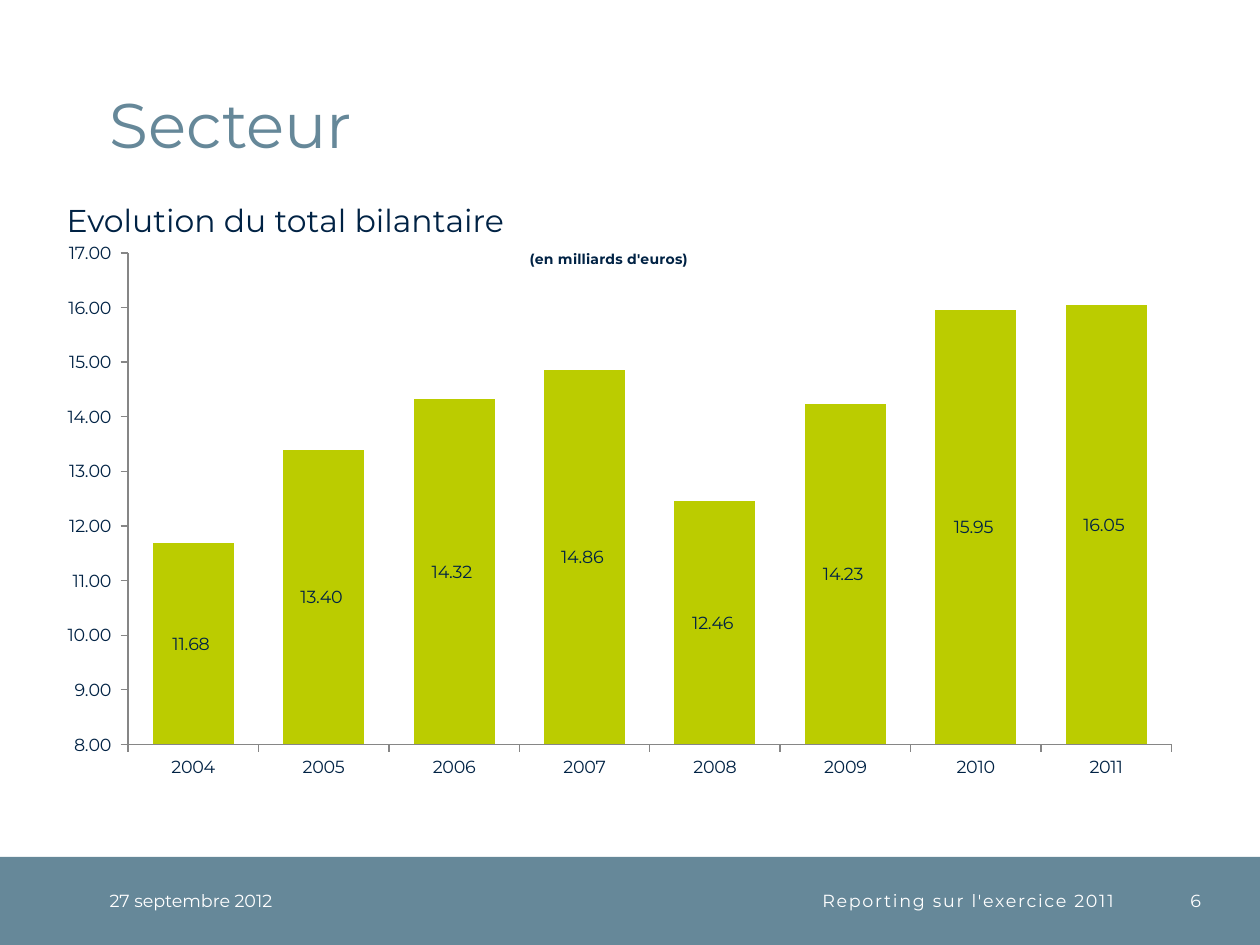
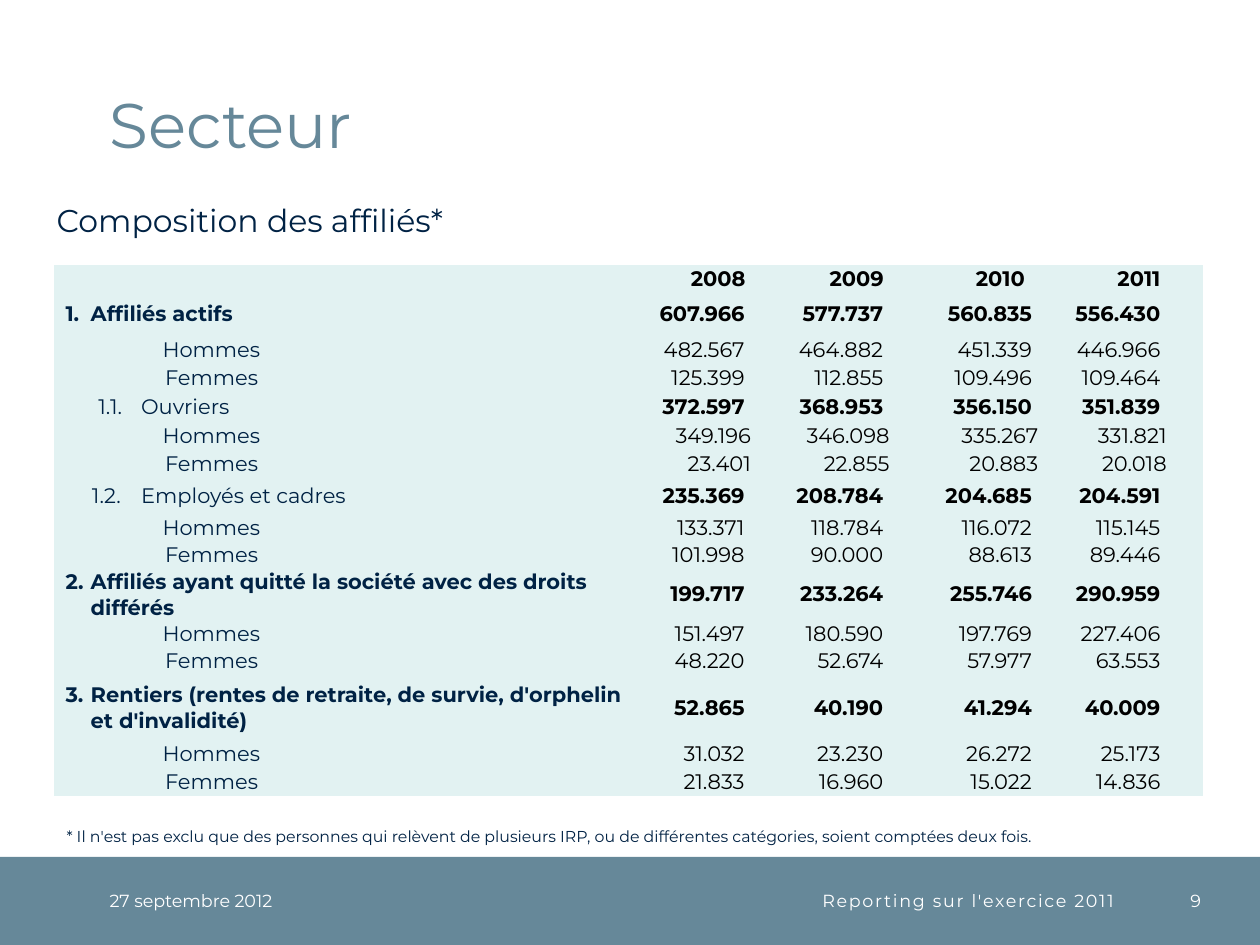
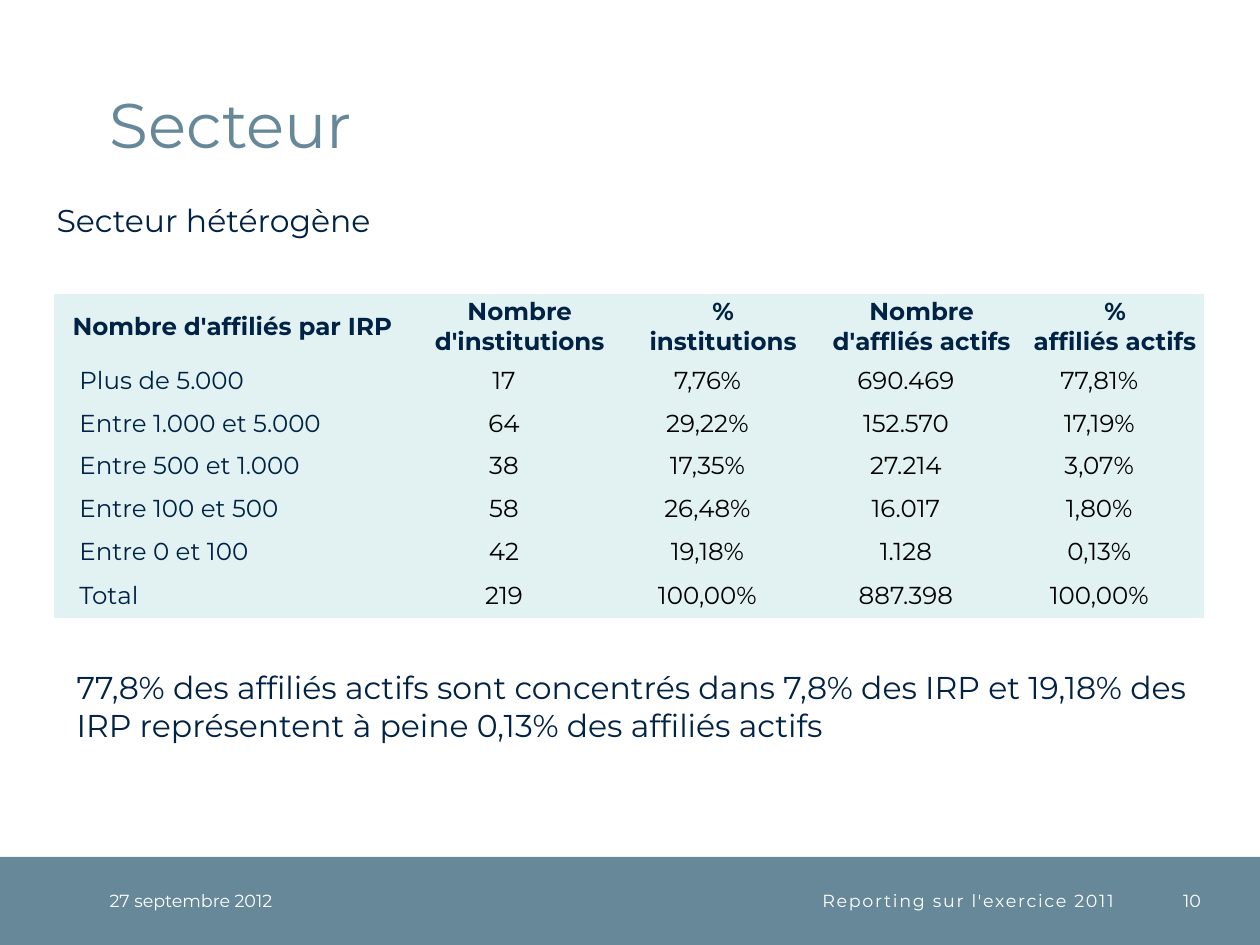
import dataclasses

import lxml.etree
import pptx
import pptx.chart.data
import pptx.dml.color
import pptx.enum.chart
import pptx.enum.shapes
import pptx.enum.text
import pptx.oxml.ns
import pptx.util

Inches = pptx.util.Inches
Pt = pptx.util.Pt
qn = pptx.oxml.ns.qn
ALIGN = pptx.enum.text.PP_ALIGN
ANCHOR = pptx.enum.text.MSO_ANCHOR


@dataclasses.dataclass(frozen=True)
class Theme:
    font: str = "Montserrat"
    slate: str = "668899"
    navy: str = "002244"
    lime: str = "BBCC00"
    mint: str = "E2F2F2"
    axis: str = "868686"
    white: str = "FFFFFF"
    black: str = "000000"
    title: int = 36
    body: int = 18
    table: int = 14
    dense_table: int = 12
    small: int = 10
    note: int = 9
    unit: int = 8
    no_table_style: str = "{2D5ABB26-0587-4C30-8999-92F81FD0307C}"


T = Theme()
NUMBER_FORMAT = "#,##0.00_ ;[Red]\\-#,##0.00\\ "

YEARS = ["2004", "2005", "2006", "2007", "2008", "2009", "2010", "2011"]
BALANCE_TOTALS = [11.68, 13.40, 14.32, 14.86, 12.46, 14.23, 15.95, 16.05]

# Label style: (left margin, first-line indent, bold label, bold figures)
LABEL_STYLES = {
    "group": (0.29, -0.2, True, True),
    "1.1.": (0.69, -0.34, False, True),
    "1.2.": (0.69, -0.39, False, True),
    "Hommes": (0.86, 0, False, False),
    "Femmes": (0.88, 0, False, False),
}

# Each row: height, label, figures for 2008 to 2011
MEMBER_ROWS = [
    (0.35, "1.\tAffiliés actifs", "607.966 577.737 560.835 556.430"),
    (0.22, "Hommes", "482.567 464.882 451.339 446.966"),
    (0.22, "Femmes", "125.399 112.855 109.496 109.464"),
    (0.24, "1.1.\tOuvriers", "372.597 368.953 356.150 351.839"),
    (0.22, "Hommes", "349.196 346.098 335.267 331.821"),
    (0.22, "Femmes", "23.401 22.855 20.883 20.018"),
    (0.29, "1.2.\tEmployés et cadres", "235.369 208.784 204.685 204.591"),
    (0.22, "Hommes", "133.371 118.784 116.072 115.145"),
    (0.22, "Femmes", "101.998 90.000 88.613 89.446"),
    (0.37, "2.\tAffiliés ayant quitté la société avec des droits différés",
     "199.717 233.264 255.746 290.959"),
    (0.22, "Hommes", "151.497 180.590 197.769 227.406"),
    (0.22, "Femmes", "48.220 52.674 57.977 63.553"),
    (0.52, "3.\tRentiers (rentes de retraite, de survie, d'orphelin et d'invalidité)",
     "52.865 40.190 41.294 40.009"),
    (0.22, "Hommes", "31.032 23.230 26.272 25.173"),
    (0.22, "Femmes", "21.833 16.960 15.022 14.836"),
]
INDENTED_FIGURES = (5, 6)  # the two rows under "Ouvriers" sit further right

SIZE_HEADERS = ["Nombre d'affiliés par IRP", "Nombre\nd'institutions", "%\ninstitutions",
                "Nombre d'affliés actifs", "%\naffiliés actifs"]
SIZE_ROWS = [
    ("Plus de 5.000", "17", "7,76%", "690.469", "77,81%"),
    ("Entre 1.000 et 5.000", "64", "29,22%", "152.570", "17,19%"),
    ("Entre 500 et 1.000", "38", "17,35%", "27.214", "3,07%"),
    ("Entre 100 et 500", "58", "26,48%", "16.017", "1,80%"),
    ("Entre 0 et 100", "42", "19,18%", "1.128", "0,13%"),
    ("Total", "219", "100,00%", "887.398", "100,00%"),
]


def rgb(color):
    return pptx.dml.color.RGBColor.from_string(color)


def style_font(font, size, color, bold=False):
    font.name = T.font
    font.size = Pt(size)
    font.bold = bold
    font.color.rgb = rgb(color)


def write(tf, text, size, color, bold=False, align=ALIGN.LEFT):
    tf.text = text
    for p in tf.paragraphs:
        p.alignment = align
        for r in p.runs:
            style_font(r.font, size, color, bold)
        if not p.runs:
            lxml.etree.SubElement(p._p, qn("a:endParaRPr"), sz=str(size * 100))


def add_text(slide, box, text, size, color, align=ALIGN.LEFT, anchor=ANCHOR.TOP, inset=True):
    tf = slide.shapes.add_textbox(*map(Inches, box)).text_frame
    tf.word_wrap = True
    tf.vertical_anchor = anchor
    if not inset:
        tf.margin_left = tf.margin_right = tf.margin_top = tf.margin_bottom = 0
    write(tf, text, size, color, align=align)
    return tf


def add_footer(slide, box, number):
    left, top, width, height = box
    sp = slide.shapes.add_shape(pptx.enum.shapes.MSO_SHAPE.RECTANGLE, *map(Inches, box))
    sp.shadow.inherit = False
    sp.fill.solid()
    sp.fill.fore_color.rgb = rgb(T.slate)
    sp.line.fill.background()

    parts = [
        (0.87, 1.77, "27 septembre 2012", ALIGN.LEFT, 0),
        (2.64, 6.2, "Reporting sur l'exercice 2011", ALIGN.RIGHT, 100),
        (9.04, 0.49, str(number), ALIGN.RIGHT, 0),
    ]
    for offset, part_width, text, align, spacing in parts:
        tf = add_text(slide, (left + offset, top, part_width, height), text,
                      T.small, T.white, align, ANCHOR.MIDDLE, inset=False)
        if spacing:
            tf.paragraphs[0].runs[0]._r.get_or_add_rPr().set("spc", str(spacing))


def add_sector_slide(prs, number, heading, heading_left):
    """Add a slide with its title, heading and footer band."""
    slide = prs.slides.add_slide(prs.slide_layouts[6])
    add_footer(slide, (0, 6.8, 10, 0.7), number)
    tf = add_text(slide, (0.87, 0.2, 8.63, 1.08), "Secteur", T.title, T.slate,
                  anchor=ANCHOR.BOTTOM, inset=False)
    tf.paragraphs[0].line_spacing = Pt(32)
    add_text(slide, (heading_left, 1.55, 4.25, 0.4), heading, T.body, T.navy)
    return slide


def set_layout(parent, index, **values):
    """Give a chart part a fixed place, in fractions of the chart."""
    layout = parent.find(qn("c:layout"))
    if layout is None:
        layout = lxml.etree.Element(qn("c:layout"))
        parent.insert(index, layout)
    manual = lxml.etree.SubElement(layout, qn("c:manualLayout"))
    for tag, value in values.items():
        lxml.etree.SubElement(manual, qn("c:" + tag), val=str(value))


def add_balance_chart(slide, box):
    data = pptx.chart.data.CategoryChartData()
    data.categories = YEARS
    data.add_series("Total bilantaire", BALANCE_TOTALS)
    chart = slide.shapes.add_chart(pptx.enum.chart.XL_CHART_TYPE.COLUMN_STACKED,
                                   *map(Inches, box), data).chart
    chart.has_legend = False
    style_font(chart.font, T.small, T.navy)

    # Title and plot area
    chart.has_title = True
    write(chart.chart_title.text_frame, "(en milliards d'euros)", T.unit, T.navy,
          bold=True, align=ALIGN.CENTER)
    set_layout(chart.chart_title._element, 1, xMode="edge", yMode="edge", x=0.42, y=0.1)
    set_layout(chart._chartSpace.chart.plotArea, 0, layoutTarget="inner", xMode="edge",
               yMode="edge", x=0.073, y=0.112, w=0.907, h=0.813)

    # Axes
    for axis in (chart.category_axis, chart.value_axis):
        axis.has_major_gridlines = False
        axis.major_tick_mark = pptx.enum.chart.XL_TICK_MARK.OUTSIDE
        axis.minor_tick_mark = pptx.enum.chart.XL_TICK_MARK.NONE
        axis.format.line.color.rgb = rgb(T.axis)
        axis.format.line.width = Pt(0.75)
    value_axis = chart.value_axis
    value_axis.minimum_scale, value_axis.maximum_scale = 8, 17
    value_axis.major_unit = 1
    value_axis.tick_labels.number_format = NUMBER_FORMAT
    value_axis.tick_labels.number_format_is_linked = False

    # Columns and their labels
    plot = chart.plots[0]
    plot.gap_width, plot.overlap = 61, 100
    plot.vary_by_categories = False
    fill = plot.series[0].format.fill
    fill.solid()
    fill.fore_color.rgb = rgb(T.lime)
    plot.has_data_labels = True
    labels = plot.data_labels
    labels.show_value = True
    labels.number_format = NUMBER_FORMAT
    labels.number_format_is_linked = False
    labels.position = pptx.enum.chart.XL_LABEL_POSITION.CENTER
    style_font(labels.font, T.small, T.navy)


def add_plain_table(slide, left, top, col_widths, row_heights):
    """Add a table whose cells share one fill and have no borders."""
    frame = slide.shapes.add_table(len(row_heights), len(col_widths), Inches(left), Inches(top),
                                   Inches(sum(col_widths)), Inches(sum(row_heights)))
    table = frame.table
    table.first_row = table.horz_banding = False
    table._tbl.tblPr.find(qn("a:tableStyleId")).text = T.no_table_style
    for column, width in zip(table.columns, col_widths):
        column.width = Inches(width)
    for row, height in zip(table.rows, row_heights):
        row.height = Inches(height)
    for cell in table.iter_cells():
        cell.fill.solid()
        cell.fill.fore_color.rgb = rgb(T.mint)
        cell.vertical_anchor = ANCHOR.MIDDLE
        cell.margin_left = cell.margin_right = cell.margin_top = cell.margin_bottom = 0
    return table


def indent(cell, margin, first_line=0):
    pPr = cell.text_frame.paragraphs[0]._p.get_or_add_pPr()
    pPr.set("marL", str(Inches(margin)))
    pPr.set("indent", str(Inches(first_line)))


def add_member_table(slide, left, top):
    heights = [0.22] + [row[0] for row in MEMBER_ROWS]
    table = add_plain_table(slide, left, top, [4.72, 1.1, 1.1, 1.18, 1.02], heights)
    for c, year in enumerate([""] + YEARS[4:]):
        write(table.cell(0, c).text_frame, year, T.dense_table, T.black, True, ALIGN.CENTER)

    for i, (_, label, figures) in enumerate(MEMBER_ROWS, start=1):
        key = label.split("\t")[0]
        margin, first_line, bold_label, bold_figures = LABEL_STYLES.get(key, LABEL_STYLES["group"])
        cell = table.cell(i, 0)
        write(cell.text_frame, label, T.dense_table, T.navy, bold_label)
        indent(cell, margin, first_line)
        for c, figure in enumerate(figures.split(), start=1):
            cell = table.cell(i, c)
            cell.margin_right = Inches(0.29 if i in INDENTED_FIGURES else 0.34)
            write(cell.text_frame, figure, T.dense_table, T.black, bold_figures, ALIGN.RIGHT)


def add_size_table(slide, left, top):
    table = add_plain_table(slide, left, top, [2.83, 1.73, 1.5, 1.65, 1.42],
                            [0.52] + [0.34] * 5 + [0.36])
    for c, header in enumerate(SIZE_HEADERS):
        write(table.cell(0, c).text_frame, header, T.table, T.navy, True, ALIGN.CENTER)
    for i, (label, *figures) in enumerate(SIZE_ROWS, start=1):
        cell = table.cell(i, 0)
        write(cell.text_frame, label, T.table, T.navy)
        indent(cell, 0.2)
        for c, figure in enumerate(figures, start=1):
            cell = table.cell(i, c)
            cell.margin_right = Inches(0.25)
            write(cell.text_frame, figure, T.table, T.black, align=ALIGN.CENTER)


def main():
    prs = pptx.Presentation()
    prs.slide_width, prs.slide_height = Inches(10), Inches(7.5)

    # Balance sheet total
    slide = add_sector_slide(prs, 6, "Evolution du total bilantaire", 0.43)
    add_balance_chart(slide, (0.35, 1.47, 9.13, 4.8))

    # Members by category
    slide = add_sector_slide(prs, 9, "Composition des affiliés*", 0.35)
    add_member_table(slide, 0.43, 2.1)
    add_text(slide, (0.43, 6.51, 9.21, 0.25),
             "* Il n'est pas exclu que des personnes qui relèvent de plusieurs IRP, "
             "ou de différentes catégories, soient comptées deux fois.", T.note, T.navy)

    # Institutions by size
    slide = add_sector_slide(prs, 10, "Secteur hétérogène", 0.35)
    add_size_table(slide, 0.43, 2.33)
    add_text(slide, (0.51, 5.25, 9.06, 0.71),
             "77,8% des affiliés actifs sont concentrés dans 7,8% des IRP et 19,18% des IRP "
             "représentent à peine 0,13% des affiliés actifs", T.body, T.navy)

    prs.save("out.pptx")


if __name__ == "__main__":
    main()
